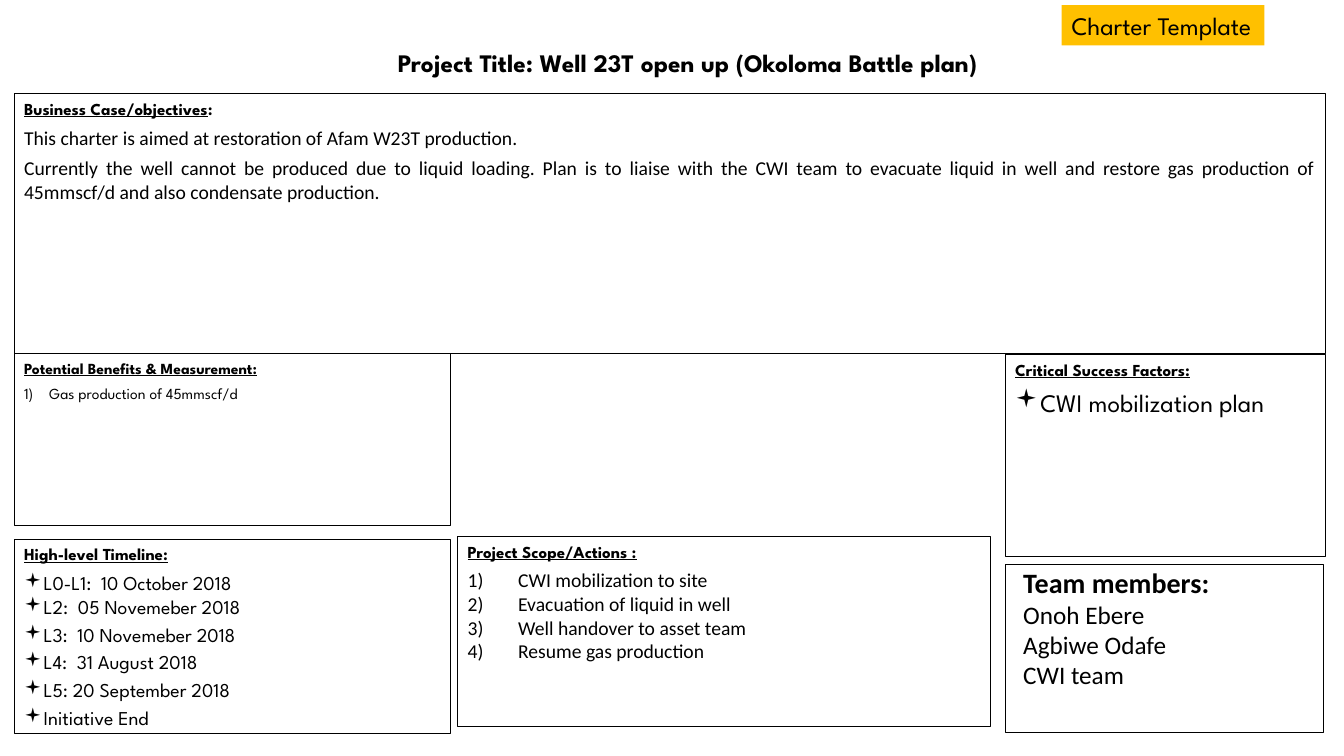
from dataclasses import dataclass
from typing import Optional

from lxml.etree import SubElement
from pptx import Presentation
from pptx.dml.color import RGBColor
from pptx.enum.shapes import MSO_SHAPE
from pptx.enum.text import MSO_ANCHOR, PP_ALIGN
from pptx.oxml.ns import qn
from pptx.util import Inches, Pt

HEADING_FONT = "League Spartan"
BODY_FONT = "Calibri"
BLACK, WHITE, AMBER = "000000", "FFFFFF", "FFC000"
SQUARE, NUMBER = "▪", "1)"


@dataclass
class Line:
    text: str
    size: float = 14
    font: str = BODY_FONT
    bold: bool = False
    underline: bool = False
    align: PP_ALIGN = PP_ALIGN.LEFT
    before: float = 0
    after: float = 0
    bullet: str = ""
    indent: float = 0
    tail: str = ""  # closing text without underline


@dataclass
class Panel:
    left: float
    top: float
    width: float
    height: float
    lines: list[Line]
    fill: Optional[str] = None


def heading(text: str, size: float = 12, tail: str = "") -> Line:
    return Line(text, size, HEADING_FONT, bold=True, underline=True,
                align=PP_ALIGN.JUSTIFY, after=5, tail=tail)


def body(text: str) -> Line:
    return Line(text, align=PP_ALIGN.JUSTIFY, after=5)


def square_item(text: str, size: float = 14, before: float = 0) -> Line:
    return Line(text, size, HEADING_FONT, before=before, bullet=SQUARE, indent=0.19)


def action(text: str) -> Line:
    return Line(text, bullet=NUMBER, indent=0.5)


def colour(value: str) -> RGBColor:
    return RGBColor.from_string(value)


def add_span(para, text: str, *, size: float, font: str, bold: bool, underline: bool) -> None:
    span = para.add_run()
    span.text = text
    span.font.size = Pt(size)
    span.font.name = font
    span.font.bold = bold
    span.font.underline = underline
    span.font.color.rgb = colour(BLACK)


def add_bullet(para, mark: str, indent: float) -> None:
    properties = para._p.get_or_add_pPr()
    properties.set("marL", str(Inches(indent)))
    properties.set("indent", str(-Inches(indent)))
    if mark == NUMBER:
        SubElement(properties, qn("a:buFont"), typeface="+mj-lt")
        SubElement(properties, qn("a:buAutoNum"), type="arabicParenR")
    else:
        SubElement(properties, qn("a:buFont"), typeface="Wingdings")
        SubElement(properties, qn("a:buChar"), char=mark)


def write(box, lines: list[Line], anchor: MSO_ANCHOR = MSO_ANCHOR.TOP, wrap: bool = True) -> None:
    frame = box.text_frame
    frame.word_wrap = wrap
    frame.vertical_anchor = anchor
    for index, line in enumerate(lines):
        para = frame.add_paragraph() if index else frame.paragraphs[0]
        para.alignment = line.align
        para.space_before = Pt(line.before)
        para.space_after = Pt(line.after)
        if line.bullet:
            add_bullet(para, line.bullet, line.indent)
        add_span(para, line.text, size=line.size, font=line.font,
                 bold=line.bold, underline=line.underline)
        if line.tail:
            add_span(para, line.tail, size=line.size, font=line.font,
                     bold=line.bold, underline=False)


def add_rectangle(page, left: float, top: float, width: float, height: float,
                  fill: Optional[str] = None, line: Optional[str] = None):
    box = page.shapes.add_shape(MSO_SHAPE.RECTANGLE, Inches(left), Inches(top),
                                Inches(width), Inches(height))
    box.shadow.inherit = False
    if fill:
        box.fill.solid()
        box.fill.fore_color.rgb = colour(fill)
    else:
        box.fill.background()
    if line:
        box.line.color.rgb = colour(line)
        box.line.width = Pt(0.75)
    else:
        box.line.fill.background()
    return box


def add_text_box(page, left: float, top: float, width: float, height: float):
    return page.shapes.add_textbox(Inches(left), Inches(top), Inches(width), Inches(height))


LATER_DATES = ["L3:  10 Novemeber 2018", "L4:  31 August 2018",
               "L5: 20 September 2018", "Initiative End"]

PANELS = [
    Panel(0.14, 0.93, 13.01, 2.58, [
        heading("Business Case/objectives", tail=":"),
        body("This charter is aimed at restoration of Afam W23T production."),
        body("Currently the well cannot be produced due to liquid loading. Plan is to liaise "
             "with the CWI team to evacuate liquid in well and restore gas production of "
             "45mmscf/d and also condensate production."),
    ]),
    Panel(4.54, 5.32, 5.28, 1.89, [
        heading("Project Scope/Actions :"),
        action("CWI mobilization to site"),
        action("Evacuation of liquid in well"),
        action("Well handover to asset team"),
        action("Resume gas production"),
    ]),
    Panel(9.97, 5.6, 3.16, 1.67, []),
    Panel(0.14, 5.35, 4.33, 1.93, [
        heading("High-level Timeline:"),
        square_item("L0-L1:  10 October 2018"),
        square_item("L2:  05 Novemeber 2018"),
        *[square_item(date, before=3) for date in LATER_DATES],
    ], WHITE),
    Panel(9.97, 3.52, 3.18, 2, [
        heading("Critical Success Factors:"),
        square_item("CWI mobilization plan", size=18),
    ], WHITE),
    Panel(0.14, 3.51, 4.33, 1.7, [
        heading("Potential Benefits & Measurement:", size=11),
        Line("Gas production of 45mmscf/d", 11, HEADING_FONT, align=PP_ALIGN.JUSTIFY,
             after=5, bullet=NUMBER, indent=0.25),
    ], WHITE),
]


def main() -> None:
    deck = Presentation()
    deck.slide_width, deck.slide_height = Inches(13.33), Inches(7.5)
    page = deck.slides.add_slide(deck.slide_layouts[6])

    title = add_text_box(page, 0.51, 0.45, 12.62, 0.34)
    write(title, [Line("Project Title: Well 23T open up (Okoloma Battle plan)", 18,
                       HEADING_FONT, bold=True, align=PP_ALIGN.CENTER)], MSO_ANCHOR.MIDDLE)

    for panel in PANELS:
        box = add_rectangle(page, panel.left, panel.top, panel.width, panel.height,
                            panel.fill, BLACK)
        write(box, panel.lines)

    tag = add_rectangle(page, 10.53, 0.05, 2.01, 0.4, AMBER)
    write(tag, [Line("Charter Template", 18, HEADING_FONT)], wrap=False)

    team = add_text_box(page, 10.05, 5.56, 2.91, 1.35)
    members = ["Onoh Ebere", "Agbiwe Odafe", "CWI team"]
    write(team, [Line("Team members:", 20, bold=True), *[Line(name, 18) for name in members]])

    deck.save("out.pptx")


if __name__ == "__main__":
    main()
